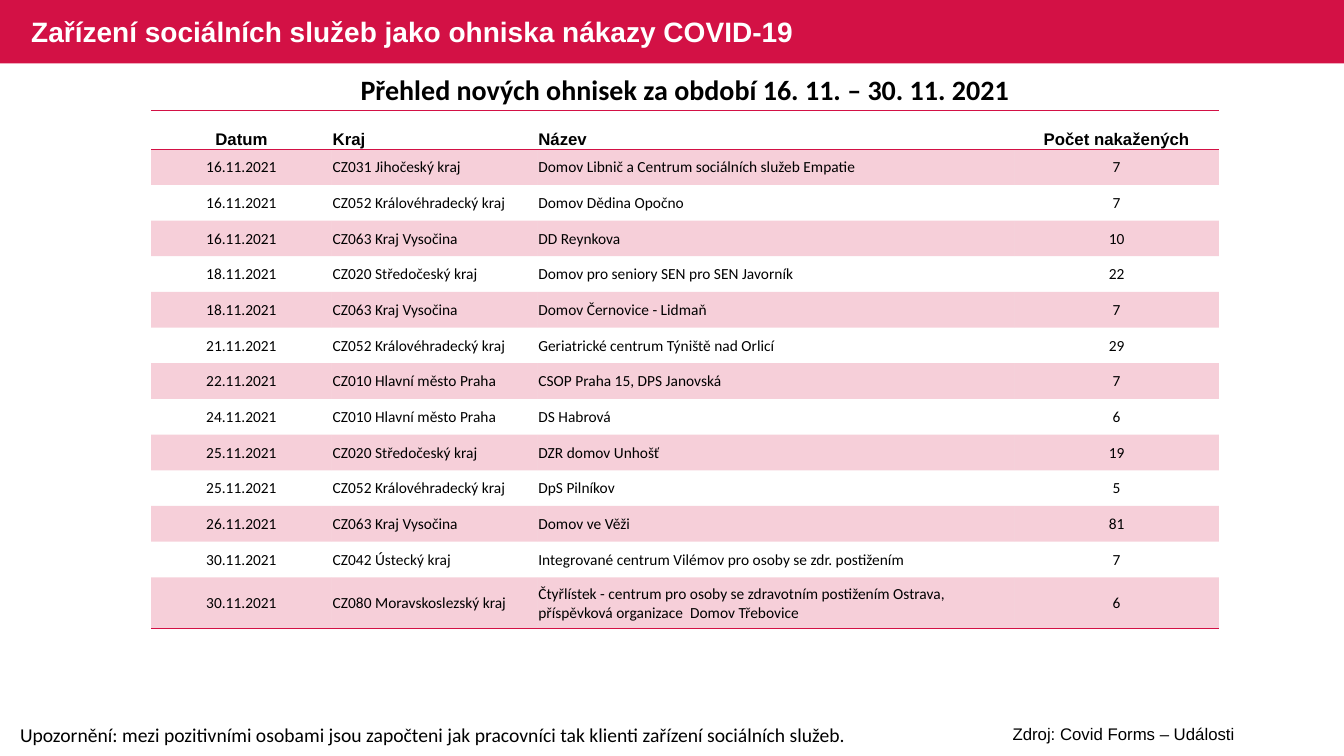
import pptx
import pptx.util
import pptx.dml.color
import pptx.enum.shapes
import pptx.enum.text
import pptx.oxml
import pptx.oxml.ns

Inches = pptx.util.Inches
Pt = pptx.util.Pt
Align = pptx.enum.text.PP_ALIGN
Anchor = pptx.enum.text.MSO_ANCHOR

RED = pptx.dml.color.RGBColor(0xD3, 0x11, 0x45)
BLACK = pptx.dml.color.RGBColor(0, 0, 0)
WHITE = pptx.dml.color.RGBColor(255, 255, 255)

PLAIN = "{2D5ABB26-0587-4C30-8999-92F81FD0307C}"  # no style, no grid
WIDTHS = [1.79, 2.04, 4.73, 2.03]
ALIGNS = [Align.CENTER, Align.LEFT, Align.LEFT, Align.CENTER]
HEADS = ["Datum", "Kraj", "Název", "Počet nakažených"]
CASES = [
    ("16.11.2021", "CZ031 Jihočeský kraj", "Domov Libnič a Centrum sociálních služeb Empatie", 7),
    ("16.11.2021", "CZ052 Královéhradecký kraj", "Domov Dědina Opočno", 7),
    ("16.11.2021", "CZ063 Kraj Vysočina", "DD Reynkova", 10),
    ("18.11.2021", "CZ020 Středočeský kraj", "Domov pro seniory SEN pro SEN Javorník", 22),
    ("18.11.2021", "CZ063 Kraj Vysočina", "Domov Černovice - Lidmaň", 7),
    ("21.11.2021", "CZ052 Královéhradecký kraj", "Geriatrické centrum Týniště nad Orlicí", 29),
    ("22.11.2021", "CZ010 Hlavní město Praha", "CSOP Praha 15, DPS Janovská", 7),
    ("24.11.2021", "CZ010 Hlavní město Praha", "DS Habrová", 6),
    ("25.11.2021", "CZ020 Středočeský kraj", "DZR domov Unhošť", 19),
    ("25.11.2021", "CZ052 Královéhradecký kraj", "DpS Pilníkov", 5),
    ("26.11.2021", "CZ063 Kraj Vysočina", "Domov ve Věži", 81),
    ("30.11.2021", "CZ042 Ústecký kraj", "Integrované centrum Vilémov pro osoby se zdr. postižením", 7),
    ("30.11.2021", "CZ080 Moravskoslezský kraj",
     "Čtyřlístek - centrum pro osoby se zdravotním postižením Ostrava, "
     "příspěvková organizace  Domov Třebovice", 6),
]


def write(frame, text, size, face, color=BLACK, bold=False, align=Align.LEFT):
    frame.text = text
    para = frame.paragraphs[0]
    para.alignment = align
    font = para.runs[0].font
    font.size = Pt(size)
    font.name = face
    font.bold = bold
    font.color.rgb = color


def add_text(slide, box, text, size, face, **style):
    frame = slide.shapes.add_textbox(*map(Inches, box)).text_frame
    frame.word_wrap = True
    write(frame, text, size, face, **style)


def add_title(slide, box, text):
    """Draw the red band in the box and lay the title over it."""
    left, top, width, height = box
    band = slide.shapes.add_shape(
        pptx.enum.shapes.MSO_SHAPE.RECTANGLE, *map(Inches, box))
    band.shadow.inherit = False
    band.fill.solid()
    band.fill.fore_color.rgb = RED
    band.line.fill.background()
    title = slide.shapes.title
    tree = slide.shapes._spTree
    tree.remove(band._element)
    tree.insert(2, band._element)
    title.left, title.top = Inches(left + 0.21), Inches(top + 0.02)
    title.width, title.height = Inches(width - 5.2), Inches(height)
    frame = title.text_frame
    frame.word_wrap = True
    frame.vertical_anchor = Anchor.MIDDLE
    write(frame, text, 20, "Arial", color=WHITE, bold=True)
    frame.paragraphs[0].line_spacing = 0.9


def rule(cell, sides):
    """Put red lines on the named sides (T, B) of a cell."""
    props = cell._tc.get_or_add_tcPr()
    for spot, side in enumerate(sides):
        props.insert(spot, pptx.oxml.parse_xml(
            f'<a:ln{side} {pptx.oxml.ns.nsdecls("a")} w="{Pt(1)}">'
            f'<a:solidFill><a:srgbClr val="{RED}"/></a:solidFill></a:ln{side}>'))


def tint(cell):
    """Fill a cell with red at 20 % opacity."""
    cell.fill.solid()
    cell.fill.fore_color.rgb = RED
    color = cell._tc.tcPr.find(".//" + pptx.oxml.ns.qn("a:srgbClr"))
    color.append(pptx.oxml.parse_xml(
        f'<a:alpha {pptx.oxml.ns.nsdecls("a")} val="20000"/>'))


def add_cases(slide, box):
    rows = [HEADS] + CASES
    last = len(CASES)
    tall = {0: 0.38, last: 0.51}
    even = (box[3] - sum(tall.values())) / (len(rows) - len(tall))
    table = slide.shapes.add_table(
        len(rows), len(HEADS), *map(Inches, box)).table
    table.first_row = table.horz_banding = False
    table._tbl.tblPr.find(pptx.oxml.ns.qn("a:tableStyleId")).text = PLAIN
    for col, width in zip(table.columns, WIDTHS):
        col.width = Inches(width)
    for r, row in enumerate(rows):
        head = r == 0
        table.rows[r].height = Inches(tall.get(r, even))
        for c, value in enumerate(row):
            cell = table.cell(r, c)
            cell.margin_left = cell.margin_right = Inches(0.01)
            cell.margin_top = Inches(0 if head else 0.01)
            cell.margin_bottom = 0
            cell.vertical_anchor = Anchor.BOTTOM if head else Anchor.MIDDLE
            size, face = (12, "Arial") if head else (11, "Calibri")
            write(cell.text_frame, str(value), size, face,
                  bold=head, align=ALIGNS[c])
            if r % 2:
                tint(cell)
            else:
                cell.fill.background()
            if head:
                rule(cell, "TB")
            elif r == last:
                rule(cell, "B")


def main():
    deck = pptx.Presentation()
    deck.slide_width, deck.slide_height = Inches(13.33), Inches(7.5)
    slide = deck.slides.add_slide(deck.slide_layouts[5])
    add_title(slide, (0, 0, 13.33, 0.63),
              "Zařízení sociálních služeb jako ohniska nákazy COVID-19")
    add_text(slide, (0.53, 0.67, 12.53, 0.44),
             "Přehled nových ohnisek za období 16. 11. – 30. 11. 2021",
             20, "Calibri", bold=True, align=Align.CENTER)
    add_cases(slide, (1.5, 1.1, 10.59, 5.14))
    add_text(slide, (0.1, 7.12, 8.52, 0.34),
             "Upozornění: mezi pozitivními osobami jsou započteni jak "
             "pracovníci tak klienti zařízení sociálních služeb.",
             14, "Calibri")
    add_text(slide, (9.06, 7.13, 4.17, 0.3), "Zdroj: Covid Forms – Události",
             12, "Arial", align=Align.CENTER)
    deck.save("out.pptx")


if __name__ == "__main__":
    main()
